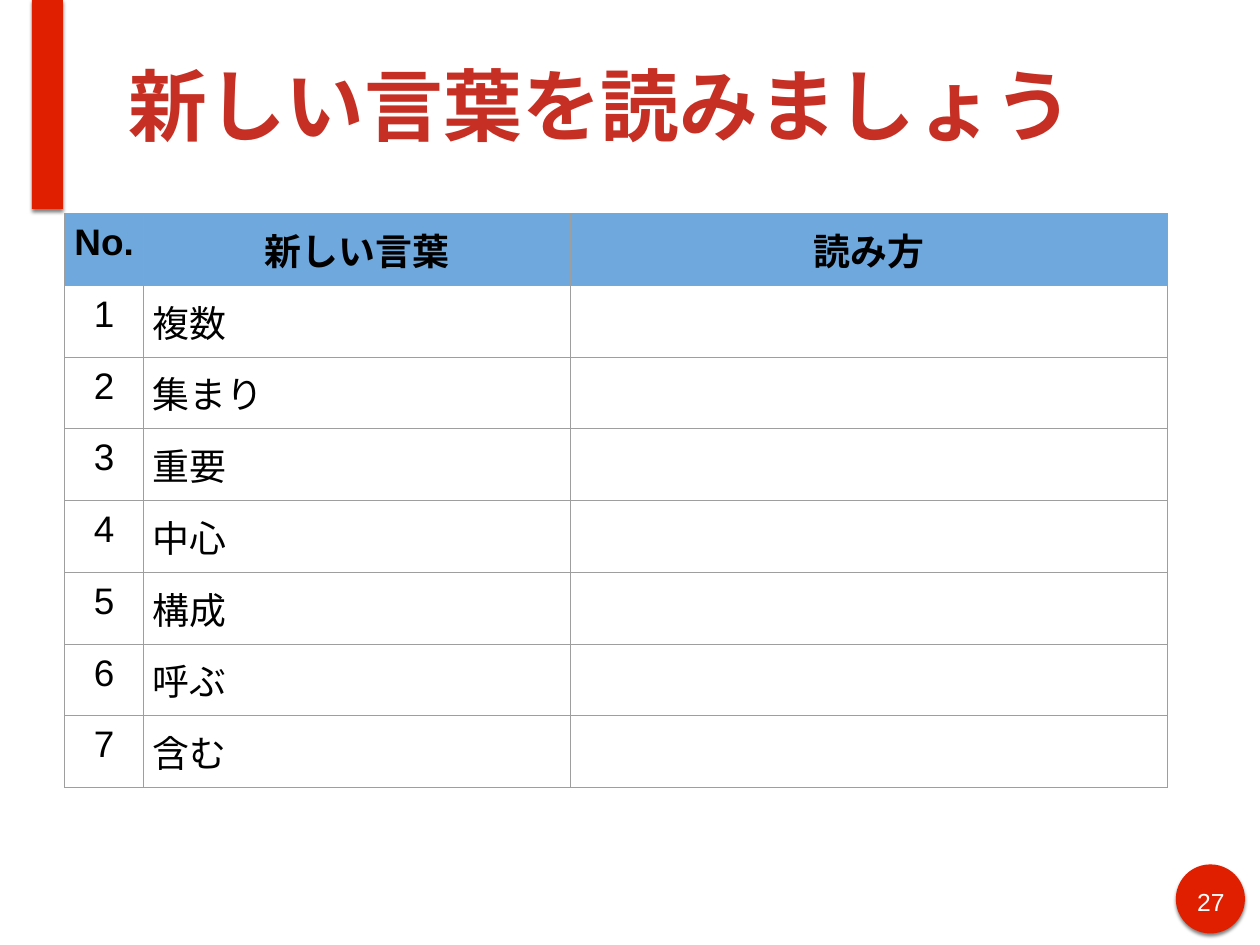
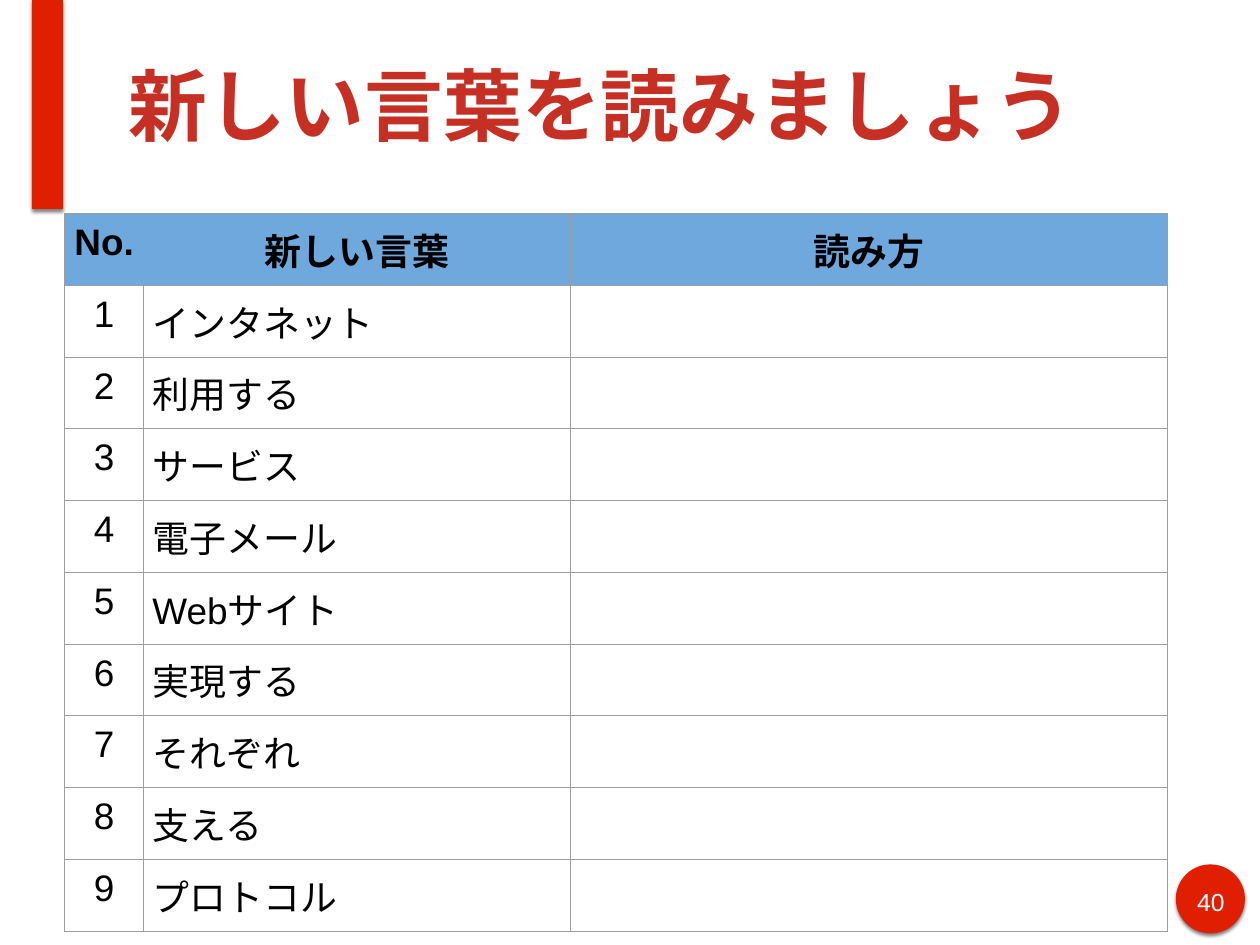
from lxml.etree import SubElement
from pptx import Presentation
from pptx.dml.color import RGBColor
from pptx.enum.lang import MSO_LANGUAGE_ID
from pptx.enum.shapes import MSO_SHAPE
from pptx.enum.text import MSO_ANCHOR, MSO_AUTO_SIZE, PP_ALIGN
from pptx.oxml.ns import qn
from pptx.util import Inches, Pt

COLORS = {
    "accent": "DF1F00",
    "title": "C63024",
    "header": "6FA8DC",
    "border": "9E9E9E",
    "text": "000000",
    "white": "FFFFFF",
}
FONT = "Arial"
TITLE = "新しい言葉を読みましょう"
HEADINGS = ["No.", "新しい言葉", "読み方"]
COLUMN_WIDTHS = [0.89, 4.82, 6.74]
ROW_HEIGHT = 8.04 / 10  # ten rows fill the tallest table
CELL_MARGIN = 0.1
WORD_TOP_MARGIN = 0.21  # Japanese words sit lower than the numbers

BAND_BOX = (0.36, 0, 0.35, 2.36)
BADGE_BOX = (13.27, 9.76, 0.78, 0.78)
TITLE_BOX = (1.39, 0.12, 12.14, 2.12)
TABLE_ORIGIN = (0.73, 2.41)

VOCABULARY = {
    27: ["複数", "集まり", "重要", "中心", "構成", "呼ぶ", "含む"],
    40: ["インタネット", "利用する", "サービス", "電子メール", "Webサイト",
         "実現する", "それぞれ", "支える", "プロトコル"],
}


def rgb(name):
    return RGBColor.from_string(COLORS[name])


def set_margins(target, inches):
    for side in ("left", "right", "top", "bottom"):
        setattr(target, f"margin_{side}", Inches(inches))


def write_text(text_frame, text, size, color, bold=False, align=PP_ALIGN.LEFT):
    paragraph = text_frame.paragraphs[0]
    paragraph.alignment = align
    run = paragraph.add_run()
    run.text = text
    font = run.font
    font.name = FONT
    font.size = Pt(size)
    font.bold = bold
    font.color.rgb = rgb(color)
    font.language_id = MSO_LANGUAGE_ID.JAPANESE
    # Japanese characters take their font from the East Asian slot.
    SubElement(run._r.get_or_add_rPr(), qn("a:ea"), typeface=FONT)


def add_accent_shape(slide, kind, box):
    """Add a red shape with a soft shadow straight below it."""
    shape = slide.shapes.add_shape(kind, *map(Inches, box))
    shape.fill.solid()
    shape.fill.fore_color.rgb = rgb("accent")
    shape.line.fill.background()
    shape.shadow.inherit = False
    effects = shape._element.spPr.find(qn("a:effectLst"))
    shadow = SubElement(effects, qn("a:outerShdw"), blurRad=str(Pt(3)),
                        dist=str(Pt(2)), dir="5400000", rotWithShape="0")
    color = SubElement(shadow, qn("a:srgbClr"), val=COLORS["text"])
    SubElement(color, qn("a:alpha"), val="50000")


def add_page_badge(slide, box, number):
    add_accent_shape(slide, MSO_SHAPE.OVAL, box)
    left, top, width, height = box
    number_box = slide.shapes.add_textbox(
        Inches(left + 0.15), Inches(top + 0.19),
        Inches(width - 0.29), Inches(height / 2))
    text_frame = number_box.text_frame
    text_frame.word_wrap = True
    set_margins(text_frame, 0.06)
    write_text(text_frame, str(number), 20, "white", align=PP_ALIGN.CENTER)


def place_title(slide, box):
    title = slide.shapes.title
    title.left, title.top, title.width, title.height = map(Inches, box)
    text_frame = title.text_frame
    text_frame.auto_size = MSO_AUTO_SIZE.NONE
    text_frame.vertical_anchor = MSO_ANCHOR.MIDDLE
    set_margins(text_frame, 0.06)
    write_text(text_frame, TITLE, 64, "title", bold=True)


def set_borders(cell):
    properties = cell._tc.get_or_add_tcPr()
    for tag in ("lnL", "lnR", "lnT", "lnB"):
        line = SubElement(properties, qn(f"a:{tag}"), w=str(Pt(0.75)))
        fill = SubElement(line, qn("a:solidFill"))
        SubElement(fill, qn("a:srgbClr"), val=COLORS["border"])


def format_cell(cell, text, column, is_header):
    set_margins(cell, CELL_MARGIN)
    set_borders(cell)
    if is_header:
        cell.fill.solid()
        cell.fill.fore_color.rgb = rgb("header")
    else:
        cell.fill.background()
    if text:
        if column > 0:
            cell.margin_top = Inches(WORD_TOP_MARGIN)
        centred = is_header or column == 0
        write_text(cell.text_frame, text, 30, "text", bold=is_header,
                   align=PP_ALIGN.CENTER if centred else PP_ALIGN.LEFT)


def add_vocabulary_table(slide, origin, words):
    rows = [HEADINGS] + [[str(number), word, ""]
                         for number, word in enumerate(words, 1)]
    size = (sum(COLUMN_WIDTHS), ROW_HEIGHT * len(rows))
    table = slide.shapes.add_table(
        len(rows), len(HEADINGS), *map(Inches, origin + size)).table
    table.horz_banding = False
    for column, width in zip(table.columns, COLUMN_WIDTHS):
        column.width = Inches(width)
    for row_index, texts in enumerate(rows):
        table.rows[row_index].height = Inches(ROW_HEIGHT)
        for column_index, text in enumerate(texts):
            format_cell(table.cell(row_index, column_index), text,
                        column_index, row_index == 0)


def add_vocabulary_slide(presentation, number, words):
    slide = presentation.slides.add_slide(presentation.slide_layouts[5])
    add_accent_shape(slide, MSO_SHAPE.RECTANGLE, BAND_BOX)
    add_page_badge(slide, BADGE_BOX, number)
    place_title(slide, TITLE_BOX)
    add_vocabulary_table(slide, TABLE_ORIGIN, words)


def main():
    presentation = Presentation()
    presentation.slide_width = Inches(14.22)
    presentation.slide_height = Inches(10.67)
    for number, words in VOCABULARY.items():
        add_vocabulary_slide(presentation, number, words)
    presentation.save("out.pptx")


if __name__ == "__main__":
    main()
